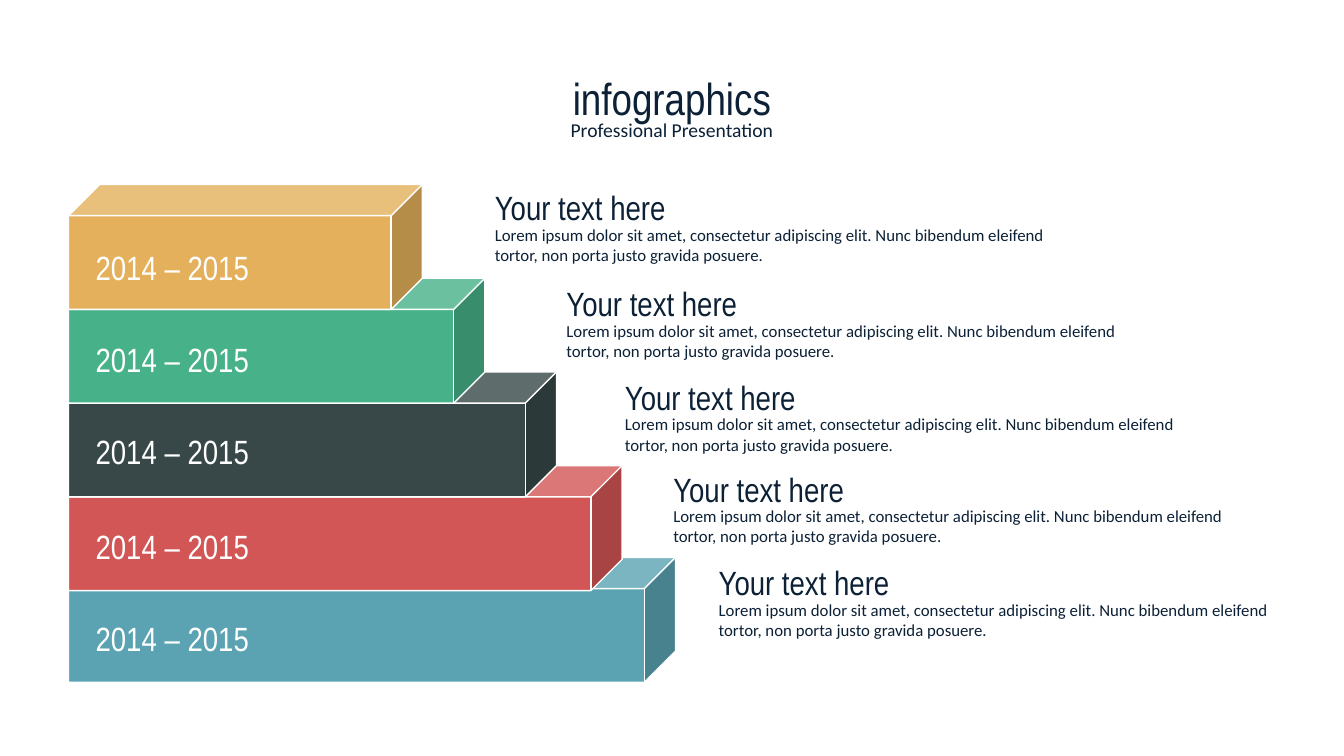
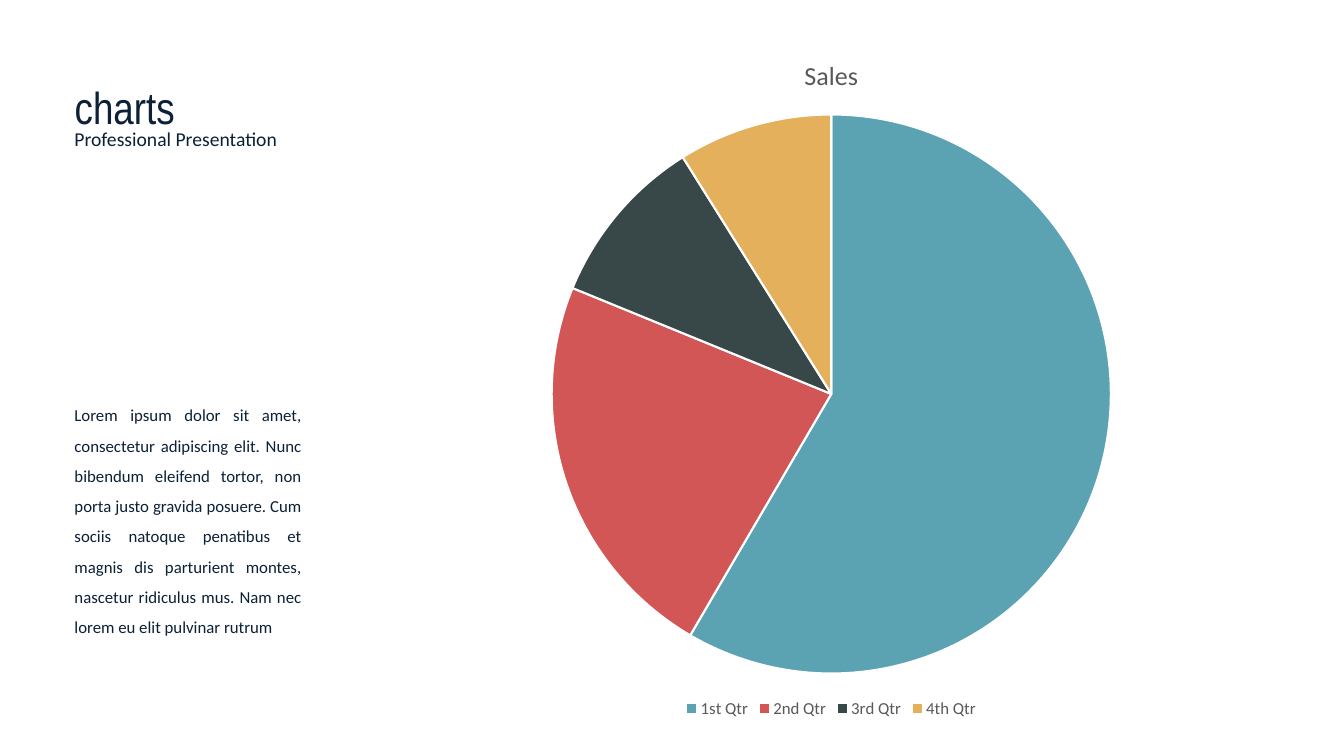
from dataclasses import dataclass

from pptx import Presentation
from pptx.chart.data import CategoryChartData
from pptx.dml.color import RGBColor
from pptx.enum.chart import XL_CHART_TYPE, XL_LEGEND_POSITION
from pptx.enum.shapes import MSO_SHAPE
from pptx.enum.text import MSO_ANCHOR, MSO_AUTO_SIZE, PP_ALIGN
from pptx.util import Emu, Pt

PIE = XL_CHART_TYPE.PIE
LEGEND_BOTTOM = XL_LEGEND_POSITION.BOTTOM
CUBE = MSO_SHAPE.CUBE
LEFT, CENTER, JUSTIFY = PP_ALIGN.LEFT, PP_ALIGN.CENTER, PP_ALIGN.JUSTIFY
TOP = MSO_ANCHOR.TOP
NO_FIT = MSO_AUTO_SIZE.NONE

PX = 9144  # EMU in one px, 100 px to the inch

COLORS = {
    "ink": "0C2036",
    "white": "FFFFFF",
    "gray": "595959",
    "gold": "E4B05C",
    "green": "47B189",
    "slate": "384848",
    "red": "D25656",
    "teal": "5BA3B2",
}

# Text styles: size, font and colour
HEADLINE = {"size": Pt(32), "name": "Arial Narrow", "color": "ink"}
SUBTITLE = {"size": Pt(14), "name": "Calibri", "color": "ink"}
HEADING = {"size": Pt(24), "name": "Arial Narrow", "color": "ink"}
DATE = {**HEADING, "color": "white"}
BODY = {"size": Pt(12), "name": "Calibri", "color": "ink"}
LEGEND = {**BODY, "color": "gray"}
CHART_TITLE = {**LEGEND, "size": Pt(18.6), "bold": False}

FRAME = {
    "word_wrap": True,
    "auto_size": NO_FIT,
    "vertical_anchor": TOP,
    "margin_left": 10 * PX,
    "margin_right": 10 * PX,
    "margin_top": 5 * PX,
    "margin_bottom": 5 * PX,
}

LOREM = (
    "Lorem ipsum dolor sit amet, consectetur adipiscing elit. "
    "Nunc bibendum eleifend tortor, non porta justo gravida posuere."
)
LONG_LOREM = (
    LOREM + " Cum sociis natoque penatibus et magnis dis parturient montes, "
    "nascetur ridiculus mus. Nam nec lorem eu elit pulvinar rutrum"
)


@dataclass(frozen=True)
class Area:
    left: int
    top: int
    width: int
    height: int

    def emu(self) -> list[Emu]:
        return [Emu(v * PX) for v in (self.left, self.top, self.width, self.height)]


@dataclass(frozen=True)
class Step:
    color: str
    cube_top: int
    cube_width: int
    date_top: int
    text_left: int
    text_top: int


@dataclass(frozen=True)
class Quarter:
    name: str
    sales: int
    color: str


STEPS = [  # top to bottom
    Step("gold", 183, 351, 240, 481, 181),
    Step("green", 276, 413, 331, 552, 276),
    Step("slate", 369, 484, 423, 610, 369),
    Step("red", 462, 549, 517, 658, 460),
    Step("teal", 553, 602, 608, 703, 553),
]

QUARTERS = [
    Quarter("1st Qtr", 59, "teal"),
    Quarter("2nd Qtr", 23, "red"),
    Quarter("3rd Qtr", 10, "slate"),
    Quarter("4th Qtr", 9, "gold"),
]


def rgb(name: str) -> RGBColor:
    return RGBColor.from_string(COLORS[name])


def style_font(font, style: dict) -> None:
    for key, value in style.items():
        if key == "color":
            font.color.rgb = rgb(value)
        else:
            setattr(font, key, value)


def paint(item, fill: str, line: str, points: float) -> None:
    item.fill.solid()
    item.fill.fore_color.rgb = rgb(fill)
    item.line.color.rgb = rgb(line)
    item.line.width = Pt(points)


def write(box, text: str, style: dict, align=LEFT, spacing: float = 1.0) -> None:
    frame = box.text_frame
    for key, value in FRAME.items():
        setattr(frame, key, value)
    para = frame.paragraphs[0]
    para.alignment = align
    para.line_spacing = spacing
    span = para.add_run()
    span.text = text
    style_font(span.font, style)


def add_text(page, area: Area, text: str, style: dict, align=LEFT,
             spacing: float = 1.0) -> None:
    write(page.shapes.add_textbox(*area.emu()), text, style, align, spacing)


def add_page(deck, title: str, left: int, top: int, width: int, align):
    """Add a title-only slide with a headline and its subtitle."""
    page = deck.slides.add_slide(deck.slide_layouts[5])
    headline = page.shapes.title
    headline.left, headline.top, headline.width, headline.height = Area(
        left, top, width, 64).emu()
    write(headline, title, HEADLINE, align)
    add_text(page, Area(left, top + 47, width, 34),
             "Professional Presentation", SUBTITLE, align)
    return page


def add_cube(page, step: Step) -> None:
    area = Area(68, step.cube_top, step.cube_width, 124)
    cube = page.shapes.add_shape(CUBE, *area.emu())
    cube.shadow.inherit = False
    paint(cube, step.color, "white", 1)


def add_step_text(page, step: Step) -> None:
    left, top = step.text_left, step.text_top
    add_text(page, Area(left, top + 37, 576, 50), LOREM, BODY)
    add_text(page, Area(left, top, 317, 50), "Your text here", HEADING)
    add_text(page, Area(85, step.date_top, 317, 50), "2014 – 2015", DATE)


def add_sales_chart(page, area: Area) -> None:
    data = CategoryChartData(number_format="0")
    data.categories = [quarter.name for quarter in QUARTERS]
    data.add_series("Sales", [quarter.sales for quarter in QUARTERS])
    chart = page.shapes.add_chart(PIE, *area.emu(), data).chart
    style_font(chart.font, LEGEND)

    # Title and legend
    chart.has_title = True
    title = chart.chart_title
    title.include_in_layout = False
    span = title.text_frame.paragraphs[0].add_run()
    span.text = "Sales"
    style_font(span.font, CHART_TITLE)
    chart.has_legend = True
    chart.legend.position = LEGEND_BOTTOM
    chart.legend.include_in_layout = False
    style_font(chart.legend.font, LEGEND)

    # Slices
    plot = chart.plots[0]
    plot.vary_by_categories = True
    for index, quarter in enumerate(QUARTERS):
        paint(plot.series[0].points[index].format, quarter.color, "white", 1.5)


def build_steps(deck) -> None:
    page = add_page(deck, "infographics", 88, 65, 1157, CENTER)
    # Lower cubes lie behind the upper ones
    for step in reversed(STEPS):
        add_cube(page, step)
    for step in STEPS:
        add_step_text(page, step)


def build_chart(deck) -> None:
    page = add_page(deck, "charts", 64, 74, 1181, LEFT)
    add_sales_chart(page, Area(316, 33, 1017, 684))
    add_text(page, Area(64, 387, 245, 252), LONG_LOREM, BODY, JUSTIFY, 1.5)


def main() -> None:
    deck = Presentation()
    deck.slide_width, deck.slide_height = Emu(1333 * PX), Emu(750 * PX)
    build_steps(deck)
    build_chart(deck)
    deck.save("out.pptx")


if __name__ == "__main__":
    main()
